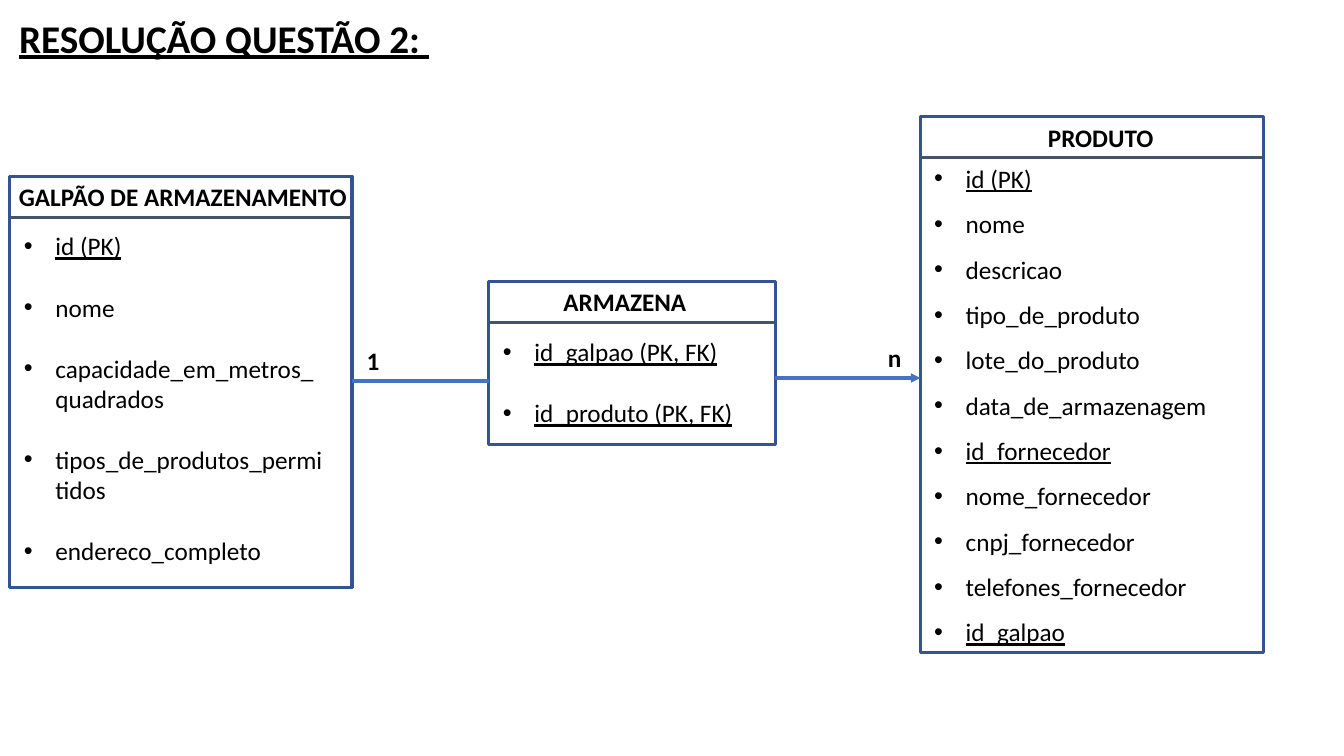
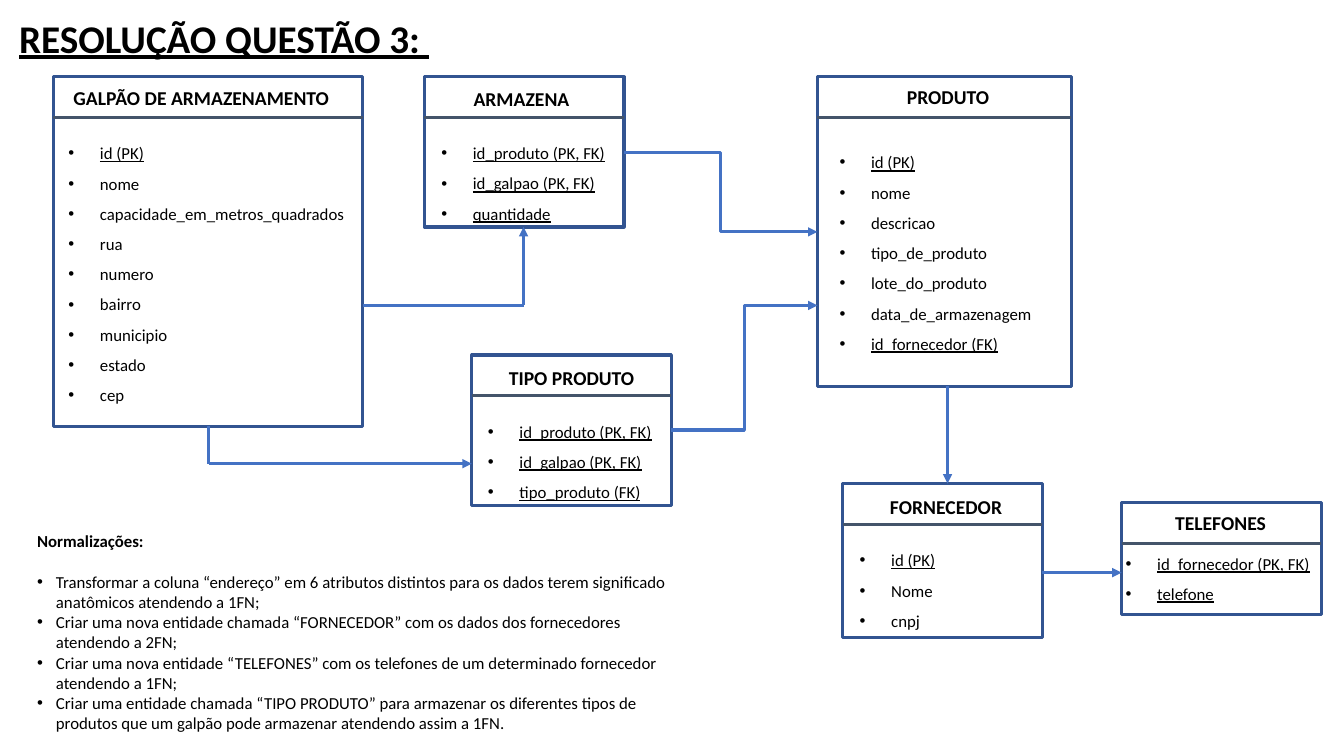
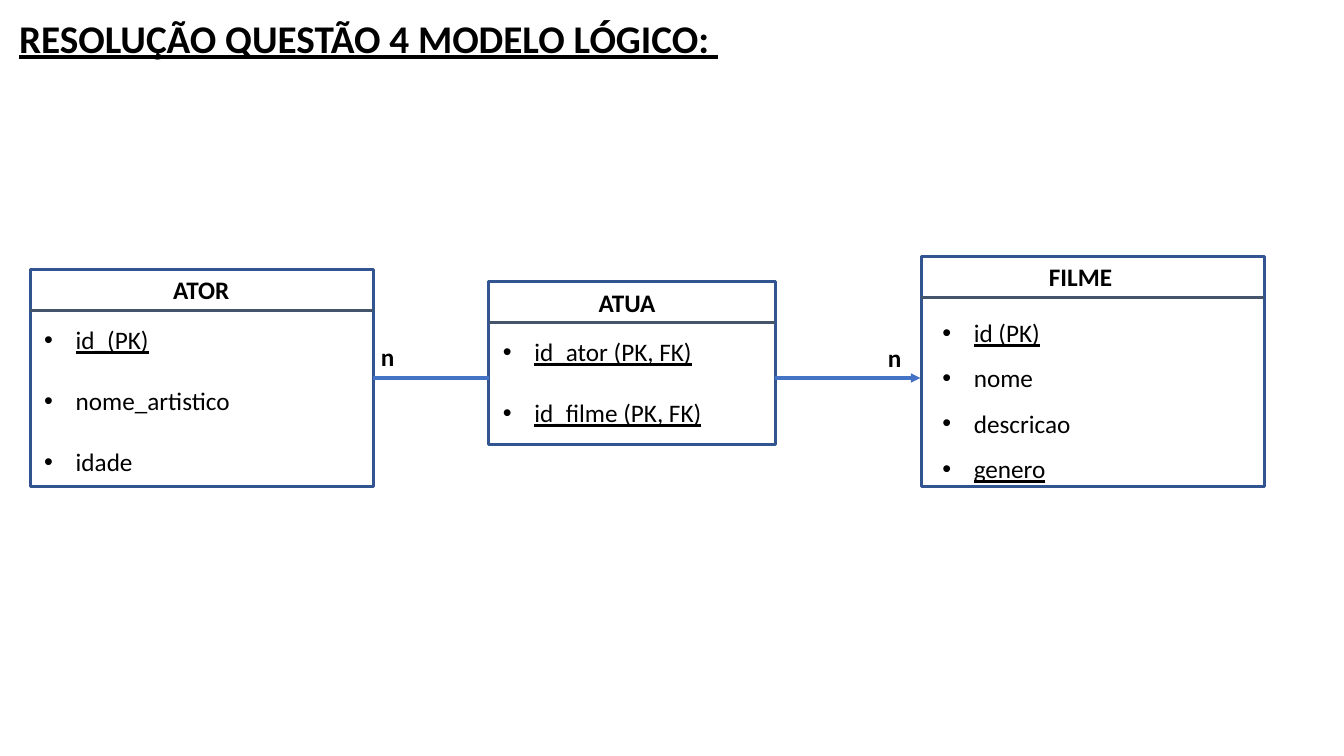
from dataclasses import dataclass

from lxml import etree
from pptx import Presentation
from pptx.dml.color import RGBColor
from pptx.enum import shapes, text
from pptx.oxml.ns import qn
from pptx.util import Pt


@dataclass(frozen=True)
class Theme:
    font: str = "Calibri"
    ink: str = "000000"
    frame: str = "325491"
    rule: str = "44546A"
    link: str = "4472C4"
    line: float = 2.25
    title: int = 28
    large: int = 18
    medium: int = 14
    small: int = 12
    bar: float = 29.2
    indent: float = 22.5
    hang: float = 13.5


T = Theme()


def paint(line, color):
    line.color.rgb = RGBColor.from_string(color)
    line.width = Pt(T.line)


def write(para, words, size, bold=False, under=False):
    run = para.add_run()
    run.text = words
    font = run.font
    font.name, font.size = T.font, Pt(size)
    font.bold, font.underline = bold, under
    font.color.rgb = RGBColor.from_string(T.ink)


def bullet(para, indent):
    props = para._p.get_or_add_pPr()
    props.set("marL", str(Pt(indent)))
    props.set("indent", str(-Pt(indent)))
    face = etree.SubElement(props, qn("a:buFont"))
    face.set("typeface", "Arial")
    mark = etree.SubElement(props, qn("a:buChar"))
    mark.set("char", "•")


def frame(slide, x, y, w, h):
    box = slide.shapes.add_textbox(Pt(x), Pt(y), Pt(w), Pt(h))
    box.text_frame.word_wrap = True
    return box.text_frame


def paras(body, count):
    return [body.paragraphs[0]] + [body.add_paragraph() for _ in range(count - 1)]


def label(slide, words, x, y, w, size):
    body = frame(slide, x, y, w, T.bar)
    write(body.paragraphs[0], words, size, bold=True)


def link(slide, start, end, color=T.link, arrow=False, bent=False):
    kind = shapes.MSO_CONNECTOR.ELBOW if bent else shapes.MSO_CONNECTOR.STRAIGHT
    line = slide.shapes.add_connector(kind, *map(Pt, start + end))
    paint(line.line, color)
    props = line._element.spPr
    if arrow:
        tail = etree.SubElement(line.line._get_or_add_ln(), qn("a:tailEnd"))
        tail.set("type", "triangle")
    etree.SubElement(props, qn("a:effectLst"))


def attrs(slide, place, height, rows, size, loose):
    x, y, w = place
    body = frame(slide, x, y, w, height)
    for para, row in zip(paras(body, len(rows)), rows):
        if loose:
            para.space_after = Pt(22)
        else:
            para.line_spacing = 1.5
        bullet(para, T.indent)
        write(para, row.lstrip("*"), size, under=row.startswith("*"))


def entity(slide, box, name, head, place, rows, big=True, loose=False):
    x, y, w, h = box
    rect = slide.shapes.add_shape(shapes.MSO_SHAPE.RECTANGLE, *map(Pt, box))
    rect.shadow.inherit = False
    rect.fill.background()
    paint(rect.line, T.frame)
    size = T.large if big else T.medium
    label(slide, name, *head, x + w - head[0] + 10, size)
    link(slide, (x, y + T.bar), (x + w, y + T.bar), T.rule)
    size = T.large if big else T.small
    attrs(slide, place, y + h - place[1], rows, size, loose)


def notes(slide, head, items, x, y, w, h):
    first, *rest = paras(frame(slide, x, y, w, h), len(items) + 1)
    first.space_after = Pt(14.6)
    write(first, head, T.small, bold=True)
    for para, item in zip(rest, items):
        bullet(para, T.hang)
        write(para, item, T.small)


def page(deck, words, width):
    slide = deck.slides.add_slide(deck.slide_layouts[5])
    title = slide.shapes.title
    title.left, title.top = Pt(6.5), Pt(6.5)
    title.width, title.height = Pt(width), Pt(41)
    body = title.text_frame
    body.auto_size = text.MSO_AUTO_SIZE.NONE
    body.vertical_anchor = text.MSO_ANCHOR.TOP
    body.word_wrap = True
    para = body.paragraphs[0]
    para.alignment = text.PP_ALIGN.LEFT
    write(para, words, T.title, bold=True, under=True)
    return slide


def stock(deck):
    slide = page(deck, "RESOLUÇÃO QUESTÃO 2: ", 320)
    entity(slide, (6.5, 126, 245, 293.5), "GALPÃO DE ARMAZENAMENTO",
           (6.5, 126), (10, 161.3, 229),
           ["*id (PK)", "nome", "capacidade_em_metros_quadrados",
            "tipos_de_produtos_permitidos", "endereco_completo"], loose=True)
    entity(slide, (657.4, 83.5, 245, 382.5), "PRODUTO",
           (741.4, 83.5), (660.2, 102.2, 229),
           ["*id (PK)", "nome", "descricao", "tipo_de_produto",
            "lote_do_produto", "data_de_armazenagem", "*id_fornecedor",
            "nome_fornecedor", "cnpj_fornecedor", "telefones_fornecedor",
            "*id_galpao"])
    entity(slide, (349.2, 200.9, 204.5, 116.6), "ARMAZENA",
           (395.3, 200.9), (352.1, 236.9, 192),
           ["*id_galpao (PK, FK)", "*id_produto (PK, FK)"], loose=True)
    label(slide, "1", 254.9, 243.4, 25, T.large)
    label(slide, "n", 627.1, 241.2, 25, T.large)
    link(slide, (251.8, 272.2), (349.2, 272.2))
    link(slide, (553.7, 270), (657.4, 270), arrow=True)


def normal(deck):
    slide = page(deck, "RESOLUÇÃO QUESTÃO 3: ", 320)
    entity(slide, (38.2, 54.9, 221, 249.7), "GALPÃO DE ARMAZENAMENTO",
           (45.4, 57.6), (41.8, 91.4, 219),
           ["*id (PK)", "nome", "capacidade_em_metros_quadrados", "rua",
            "numero", "bairro", "municipio", "estado", "cep"], big=False)
    entity(slide, (583.9, 54.9, 181.4, 221), "PRODUTO",
           (640.7, 57.4), (592.6, 97.9, 169),
           ["*id (PK)", "nome", "descricao", "tipo_de_produto",
            "lote_do_produto", "data_de_armazenagem", "*id_fornecedor (FK)"],
           big=False)
    entity(slide, (303.1, 54.9, 142.6, 107.3), "ARMAZENA",
           (331.2, 58.6), (308.2, 91.4, 132.5),
           ["*id_produto (PK, FK)", "*id_galpao (PK, FK)", "*quantidade"],
           big=False)
    entity(slide, (601.9, 345.4, 142.6, 110.2), "FORNECEDOR",
           (628.6, 349.7), (607, 382.1, 132.5),
           ["*id (PK)", "Nome", "cnpj"], big=False)
    entity(slide, (801.2, 359, 142.6, 80), "TELEFONES",
           (832.3, 361.2), (797, 384.5, 151.2),
           ["*id_fornecedor (PK, FK)", "*telefone"], big=False)
    entity(slide, (337, 253.6, 142.6, 107.3), "TIPO PRODUTO",
           (356.4, 257.6), (341.5, 290.2, 132.5),
           ["*id_produto (PK, FK)", "*id_galpao (PK, FK)",
            "*tipo_produto (FK)"], big=False)
    link(slide, (259.2, 218.2), (374, 218.2))
    link(slide, (374, 218.2), (374, 162.2), arrow=True)
    link(slide, (149, 304.6), (149, 331.2))
    link(slide, (149, 331.2), (337, 331.2), arrow=True)
    link(slide, (676.8, 276), (676.8, 345.4), arrow=True)
    link(slide, (744.5, 409), (801.2, 409), arrow=True)
    link(slide, (445.7, 108.7), (583.9, 165.6), arrow=True, bent=True)
    link(slide, (479.6, 307.2), (583.9, 218.2), arrow=True, bent=True)
    notes(slide, "Normalizações:", [
        "Transformar a coluna “endereço” em 6 atributos distintos para os "
        "dados terem significado anatômicos atendendo a 1FN;",
        "Criar uma nova entidade chamada “FORNECEDOR” com os dados dos "
        "fornecedores atendendo a 2FN;",
        "Criar uma nova entidade “TELEFONES” com os telefones de um "
        "determinado fornecedor atendendo a 1FN;",
        "Criar uma entidade chamada “TIPO PRODUTO” para armazenar os "
        "diferentes tipos de produtos que um galpão pode armazenar "
        "atendendo assim a 1FN.",
    ], 19.4, 375.8, 476, 152.6)


def cast(deck):
    slide = page(deck, "RESOLUÇÃO QUESTÃO 4 MODELO LÓGICO: ", 530)
    entity(slide, (21.6, 192.6, 245, 155), "ATOR",
           (116.6, 192.6), (24.5, 228.2, 229),
           ["*id_(PK)", "nome_artistico", "idade"], loose=True)
    entity(slide, (658.1, 183.4, 245, 164.2), "FILME",
           (742.1, 183.4), (666, 212.4, 229),
           ["*id (PK)", "nome", "descricao", "*genero"])
    entity(slide, (349.2, 200.9, 204.5, 116.6), "ATUA",
           (420.5, 201.4), (352.1, 236.9, 192),
           ["*id_ator (PK, FK)", "*id_filme (PK, FK)"], loose=True)
    label(slide, "n", 265, 240.5, 25, T.large)
    label(slide, "n", 627.1, 241.2, 25, T.large)
    link(slide, (266.4, 270), (349.2, 270))
    link(slide, (553.7, 270), (657.4, 270), arrow=True)


def main():
    deck = Presentation()
    deck.slide_width, deck.slide_height = Pt(960), Pt(540)
    for build in (stock, normal, cast):
        build(deck)
    deck.save("out.pptx")


if __name__ == "__main__":
    main()
